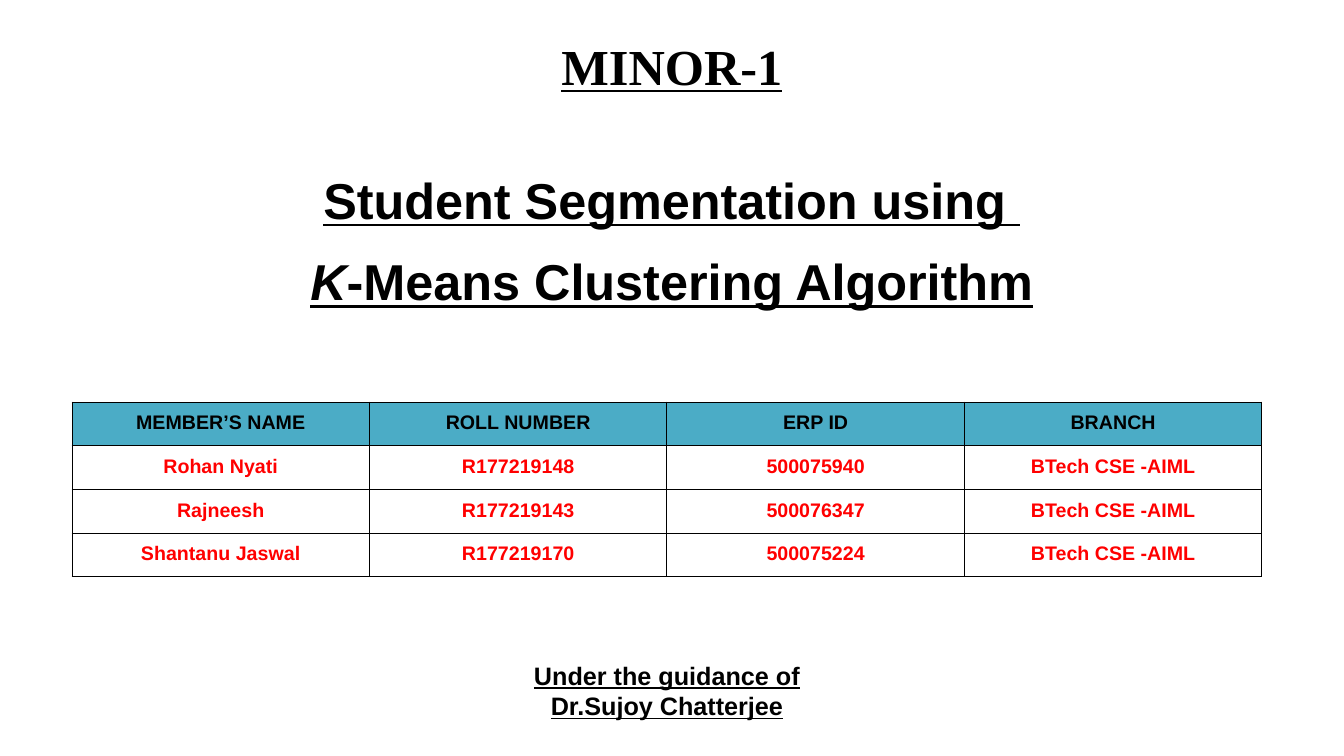
"""Build the cover slide of a student project: title, topic, members and guide."""
from dataclasses import dataclass

from lxml import etree
from pptx import Presentation
from pptx.dml.color import RGBColor
from pptx.enum.text import MSO_ANCHOR, MSO_AUTO_SIZE, PP_ALIGN
from pptx.oxml.ns import qn
from pptx.util import Emu, Pt

CENTER = PP_ALIGN.CENTER
TOP = MSO_ANCHOR.TOP
FIXED = MSO_AUTO_SIZE.NONE
TITLE_ONLY = 5
SCALE = 914400 / 100.8


@dataclass(frozen=True)
class Theme:
    """Colours, fonts and type sizes."""
    ink: str = "000000"
    red: str = "FF0000"
    teal: str = "4BACC6"
    sans: str = "Arial"
    serif: str = "Times New Roman"
    big: int = 36
    mid: int = 18
    small: int = 14
    rule: float = 0.75


@dataclass(frozen=True)
class Box:
    """A frame in px."""
    left: int
    top: int
    width: int
    height: int


@dataclass(frozen=True)
class Block:
    """A set of centred lines, each a list of runs, in one style."""
    box: Box
    lines: list[list[str]]
    size: int
    font: str
    inset: int = 5
    before: int = 0
    after: int = 0


THEME = Theme()
TITLE = Block(Box(0, 22, 1344, 130), [["MINOR-1"]], THEME.big, THEME.serif, 13)
TOPIC = Block(Box(158, 159, 1028, 163),
              [["Student Segmentation using "], ["K", "-Means Clustering Algorithm"]],
              THEME.big, THEME.sans, 10, 15, 15)
GUIDE = Block(Box(331, 655, 672, 78),
              [["Under the guidance of"], ["Dr.Sujoy Chatterjee"]],
              THEME.mid, THEME.sans)
GRID = Box(72, 402, 1190, 175)
ROWS = [
    ("MEMBER’S NAME", "ROLL NUMBER", "ERP ID", "BRANCH"),
    ("Rohan Nyati", "R177219148", "500075940", "BTech CSE -AIML"),
    ("Rajneesh", "R177219143", "500076347", "BTech CSE -AIML"),
    ("Shantanu Jaswal", "R177219170", "500075224", "BTech CSE -AIML"),
]


def px(count: int) -> Emu:
    """Turn px into EMU."""
    return Emu(round(count * SCALE))


def frame(box: Box) -> tuple[Emu, Emu, Emu, Emu]:
    """Give the frame of a box in EMU."""
    return px(box.left), px(box.top), px(box.width), px(box.height)


def style(para, size: int, font: str, color: str, under: bool) -> None:
    """Set one paragraph in bold, centred type."""
    para.alignment = CENTER
    para.font.size = Pt(size)
    para.font.name = font
    para.font.bold = True
    para.font.underline = under
    para.font.color.rgb = RGBColor.from_string(color)


def write(shape, block: Block) -> None:
    """Place a shape and fill it with the lines of a block."""
    shape.left, shape.top, shape.width, shape.height = frame(block.box)
    text = shape.text_frame
    text.word_wrap = True
    text.auto_size = FIXED
    text.vertical_anchor = TOP
    text.margin_left = text.margin_right = px(10)
    text.margin_top = text.margin_bottom = px(block.inset)
    for i, line in enumerate(block.lines):
        para = text.add_paragraph() if i else text.paragraphs[0]
        style(para, block.size, block.font, THEME.ink, True)
        para.space_before = Pt(block.before)
        para.space_after = Pt(block.after if i == len(block.lines) - 1 else 0)
        for part in line:
            run = para.add_run()
            run.text = part
            if part == "K":
                run.font.italic = True


def border(cell) -> None:
    """Draw a thin line on each side of a cell."""
    props = cell._tc.get_or_add_tcPr()
    for i, side in enumerate(("lnL", "lnR", "lnT", "lnB")):
        line = etree.Element(qn(f"a:{side}"), w=str(Pt(THEME.rule)))
        fill = etree.SubElement(line, qn("a:solidFill"))
        etree.SubElement(fill, qn("a:srgbClr"), val=THEME.ink)
        props.insert(i, line)


def draw_grid(slide, box: Box, rows: list[tuple[str, ...]]) -> None:
    """Draw the table of members."""
    table = slide.shapes.add_table(len(rows), len(rows[0]), *frame(box)).table
    table.horz_banding = table.first_row = False
    for r, row in enumerate(rows):
        for c, word in enumerate(row):
            cell = table.cell(r, c)
            cell.text = word
            cell.margin_left = cell.margin_right = px(10)
            cell.margin_top = cell.margin_bottom = px(10)
            color = THEME.red if r else THEME.ink
            style(cell.text_frame.paragraphs[0], THEME.small, THEME.sans, color, False)
            if r:
                cell.fill.background()
            else:
                cell.fill.solid()
                cell.fill.fore_color.rgb = RGBColor.from_string(THEME.teal)
            border(cell)


def main() -> None:
    """Build and save the slide."""
    deck = Presentation()
    deck.slide_width, deck.slide_height = px(1344), px(756)
    slide = deck.slides.add_slide(deck.slide_layouts[TITLE_ONLY])
    write(slide.shapes.title, TITLE)
    for block in (GUIDE, TOPIC):
        write(slide.shapes.add_textbox(*frame(block.box)), block)
    draw_grid(slide, GRID, ROWS)
    deck.save("out.pptx")


if __name__ == "__main__":
    main()
